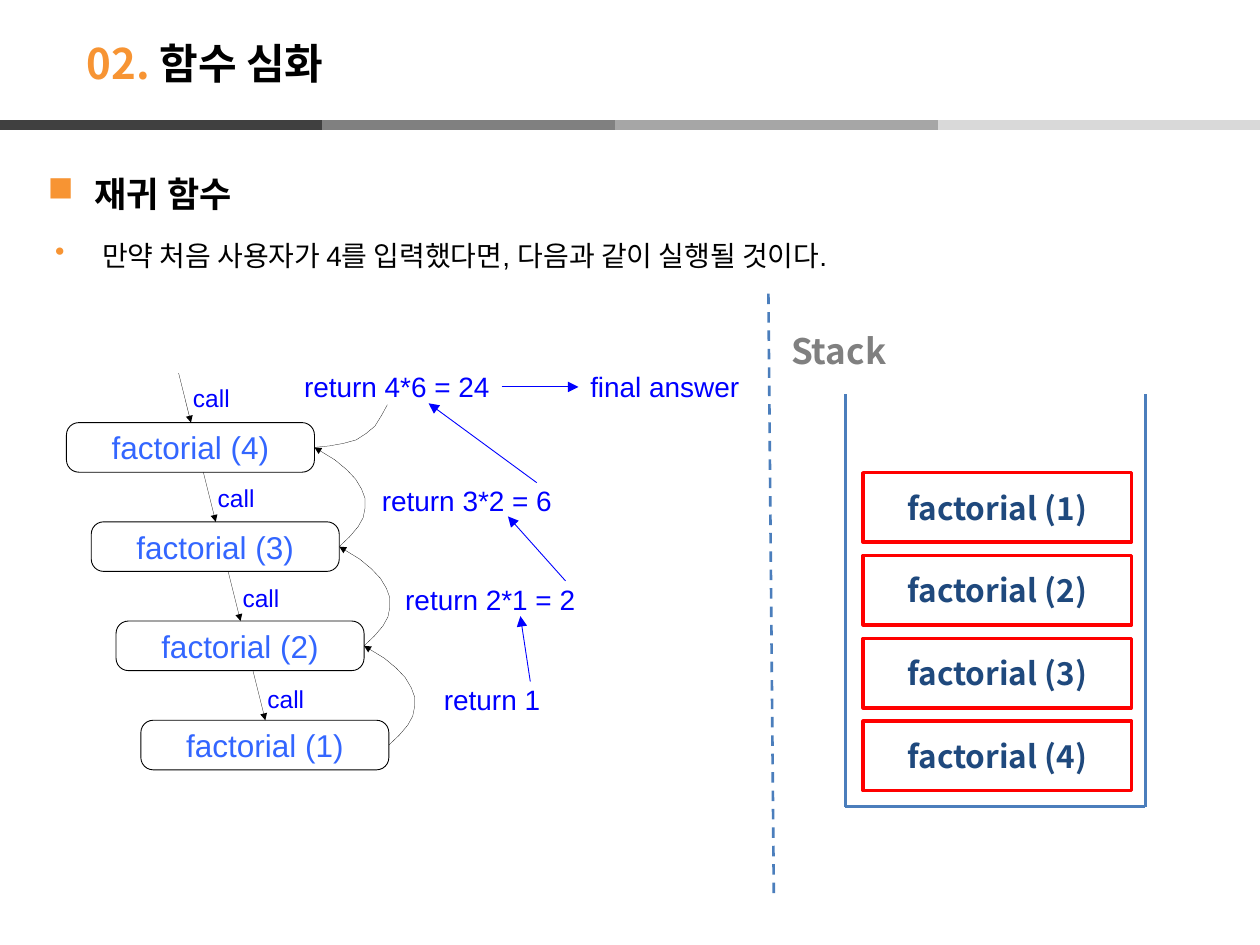
from itertools import pairwise

from lxml.etree import SubElement
from pptx import Presentation
from pptx.dml.color import RGBColor
from pptx.enum.dml import MSO_LINE
from pptx.enum.shapes import MSO_CONNECTOR, MSO_SHAPE
from pptx.enum.text import MSO_ANCHOR, PP_ALIGN
from pptx.oxml import parse_xml
from pptx.oxml.ns import nsdecls, qn
from pptx.util import Cm, Pt

HEADING_FONT = "Noto Sans CJK KR"
BODY_FONT = "Arial"
BLACK, ORANGE, BLUE, RULE_BLUE = "000000", "F79433", "0000FF", "4B7EBC"

# Each call sits one step right and down from its caller (cm)
STEP_X, STEP_Y = 0.5, 2.0
CALL_LEFT, CALL_TOP, CALL_WIDTH, CALL_HEIGHT = 1.34, 8.52, 5.0, 1.0

# Curves relative to the right middle of the box they end at (cm)
RETURN_CURVE = [(0.5, 2.0), (0.71, 1.8), (0.88, 1.6), (0.98, 1.42), (1.02, 1.22),
                (1.02, 1.03), (0.95, 0.84), (0.83, 0.64), (0.65, 0.45),
                (0.41, 0.25), (0, 0)]
FIRST_CURVE = [(1.47, -0.86), (1.35, -0.64), (1.22, -0.43), (1.04, -0.28),
               (0.84, -0.15), (0.58, -0.08), (0.3, -0.03), (0, 0)]


def rgb(hex_color):
    return RGBColor.from_string(hex_color)


def style_font(paragraph, size, color, name, bold=False):
    font = paragraph.font
    font.size, font.bold, font.name = Pt(size), bold, name
    font.color.rgb = rgb(color)
    east_asian = SubElement(paragraph._p.pPr.find(qn("a:defRPr")), qn("a:ea"))
    east_asian.set("typeface", HEADING_FONT)


def style_line(line, color, width, arrow=None):
    line.color.rgb = rgb(color)
    line.width = Pt(width)
    if arrow:
        line._get_or_add_ln().append(parse_xml(
            f'<a:tailEnd {nsdecls("a")} type="triangle" w="{arrow}" len="{arrow}"/>'))


def add_text(slide, text, left, top, width, height, size, color,
             font=BODY_FONT, bold=False, anchor=MSO_ANCHOR.TOP):
    box = slide.shapes.add_textbox(Cm(left), Cm(top), Cm(width), Cm(height))
    frame = box.text_frame
    frame.word_wrap = True
    frame.vertical_anchor = anchor
    paragraph = frame.paragraphs[0]
    paragraph.add_run().text = text
    style_font(paragraph, size, color, font, bold)
    return paragraph


def add_bullet(slide, text, mark, left, top, width, height, size, bold=False, gap=0):
    paragraph = add_text(slide, text, left, top, width, height, size, BLACK, bold=bold)
    paragraph.line_spacing = 1.5
    paragraph.space_before = paragraph.space_after = Pt(gap)
    properties = paragraph._p.pPr
    properties.set("marL", str(Cm(0.95)))
    properties.set("indent", str(-Cm(0.95)))
    defaults = properties.find(qn("a:defRPr"))
    for bullet in (f'<a:buClr {nsdecls("a")}><a:srgbClr val="{ORANGE}"/></a:buClr>',
                   f'<a:buChar {nsdecls("a")} char="{mark}"/>'):
        defaults.addprevious(parse_xml(bullet))


def add_label(slide, text, left, top, width, height, size):
    add_text(slide, text, left, top, width, height, size, BLUE)
    frame = slide.shapes[-1].text_frame
    frame.margin_left = frame.margin_right = frame.margin_top = frame.margin_bottom = 0


def add_box(slide, kind, text, left, top, width, height, edge, edge_width,
            color, font, bold=False, fill=None):
    box = slide.shapes.add_shape(kind, Cm(left), Cm(top), Cm(width), Cm(height))
    box.shadow.inherit = False
    if fill:
        box.fill.solid()
        box.fill.fore_color.rgb = rgb(fill)
    else:
        box.fill.background()
    style_line(box.line, edge, edge_width)
    frame = box.text_frame
    frame.margin_top = frame.margin_bottom = 0
    frame.vertical_anchor = MSO_ANCHOR.MIDDLE
    paragraph = frame.paragraphs[0]
    paragraph.text = text
    paragraph.alignment = PP_ALIGN.CENTER
    style_font(paragraph, 18, color, font, bold)
    return box


def add_line(slide, start, end, color, width, arrow=None):
    line = slide.shapes.add_connector(
        MSO_CONNECTOR.STRAIGHT, *(Cm(value) for value in (*start, *end)))
    style_line(line.line, color, width, arrow)
    SubElement(line._element.spPr, qn("a:effectLst"))
    return line


def add_curve(slide, end_x, end_y, offsets, arrow=None):
    points = [(Cm(end_x + x), Cm(end_y + y)) for x, y in offsets]
    builder = slide.shapes.build_freeform(*points[0])
    builder.add_line_segments(points[1:], close=False)
    curve = builder.convert_to_shape()
    curve.shadow.inherit = False
    curve.fill.background()
    style_line(curve.line, BLACK, 0.13, arrow)


def add_heading(slide):
    rule_ends = pairwise([0, 6.5, 12.4, 18.9, 25.4])
    for (start, end), gray in zip(rule_ends, ("404040", "808080", "A6A6A6", "D9D9D9")):
        add_line(slide, (start, 2.52), (end, 2.52), gray, 6)
    title = add_text(slide, "02. ", 1.5, 0.51, 19, 1.52, 24, BLACK,
                     HEADING_FONT, True, MSO_ANCHOR.MIDDLE)
    title.runs[0].font.color.rgb = rgb(ORANGE)
    title.add_run().text = "함수 심화"
    add_bullet(slide, "재귀 함수", "■", 0.71, 2.92, 22.81, 1.6, 20, bold=True)
    add_bullet(slide, "만약 처음 사용자가 4를 입력했다면, 다음과 같이 실행될 것이다.", "•",
               0.86, 4.34, 21.59, 1.19, 16, gap=5)


def add_calls(slide):
    for depth in range(4):
        dx, dy = depth * STEP_X, depth * STEP_Y
        left, top = CALL_LEFT + dx, CALL_TOP + dy
        call = add_box(slide, MSO_SHAPE.ROUNDED_RECTANGLE, f"factorial ({4 - depth})",
                       left, top, CALL_WIDTH, CALL_HEIGHT, BLACK, 0.5,
                       "3366FF", BODY_FONT, fill="FFFFFF")
        call.adjustments[0] = 0.25
        add_line(slide, (3.6 + dx, top - 1), (3.85 + dx, top), BLACK, 0.13, "sm")
        add_label(slide, "call", 3.89 + dx, 7.72 + 2.02 * depth, 1.0, 0.61, 14)
        if depth < 3:
            add_curve(slide, left + CALL_WIDTH, top + CALL_HEIGHT / 2, RETURN_CURVE, "sm")
    add_curve(slide, CALL_LEFT + CALL_WIDTH, CALL_TOP + CALL_HEIGHT / 2, FIRST_CURVE)


def add_returns(slide):
    for text, left, top, width in (("return 1", 8.95, 13.75, 2.54),
                                   ("return 2*1 = 2", 8.17, 11.75, 3.9),
                                   ("return 3*2 = 6", 7.7, 9.75, 3.9),
                                   ("return 4*6 = 24", 6.13, 7.45, 4.2),
                                   ("final answer", 11.9, 7.45, 3.4)):
        add_label(slide, text, left, top, width, 0.69, 16)
    for start, end in (((10.69, 13.74), (10.49, 12.42)),
                       ((11.4, 11.71), (10.24, 10.41)),
                       ((10.82, 9.73), (8.64, 8.13)),
                       ((10.11, 7.8), (11.66, 7.8))):
        add_line(slide, start, end, BLUE, 0.5, "med")


def add_stack(slide):
    for level in range(4):
        add_box(slide, MSO_SHAPE.RECTANGLE, f"factorial ({level + 1})",
                17.4, 9.53 + 1.67 * level, 5.41, 1.4, "FF0000", 2,
                "1F497D", HEADING_FONT, bold=True)
    # Open-topped container
    corners = [(17.04, 7.95), (17.04, 16.26), (23.09, 16.26), (23.09, 7.95)]
    for start, end in pairwise(corners):
        add_line(slide, start, end, RULE_BLUE, 2)
    divider = add_line(slide, (15.49, 5.92), (15.6, 18.14), RULE_BLUE, 1.5)
    divider.line.dash_style = MSO_LINE.DASH
    add_text(slide, "Stack", 15.7, 6.4, 6.2, 1.32, 20, "808080",
             HEADING_FONT, True, MSO_ANCHOR.MIDDLE)


def main():
    presentation = Presentation()
    presentation.slide_width, presentation.slide_height = Cm(25.4), Cm(19.05)
    slide = presentation.slides.add_slide(presentation.slide_layouts[6])
    add_heading(slide)
    add_calls(slide)
    add_returns(slide)
    add_stack(slide)
    presentation.save("out.pptx")


if __name__ == "__main__":
    main()
